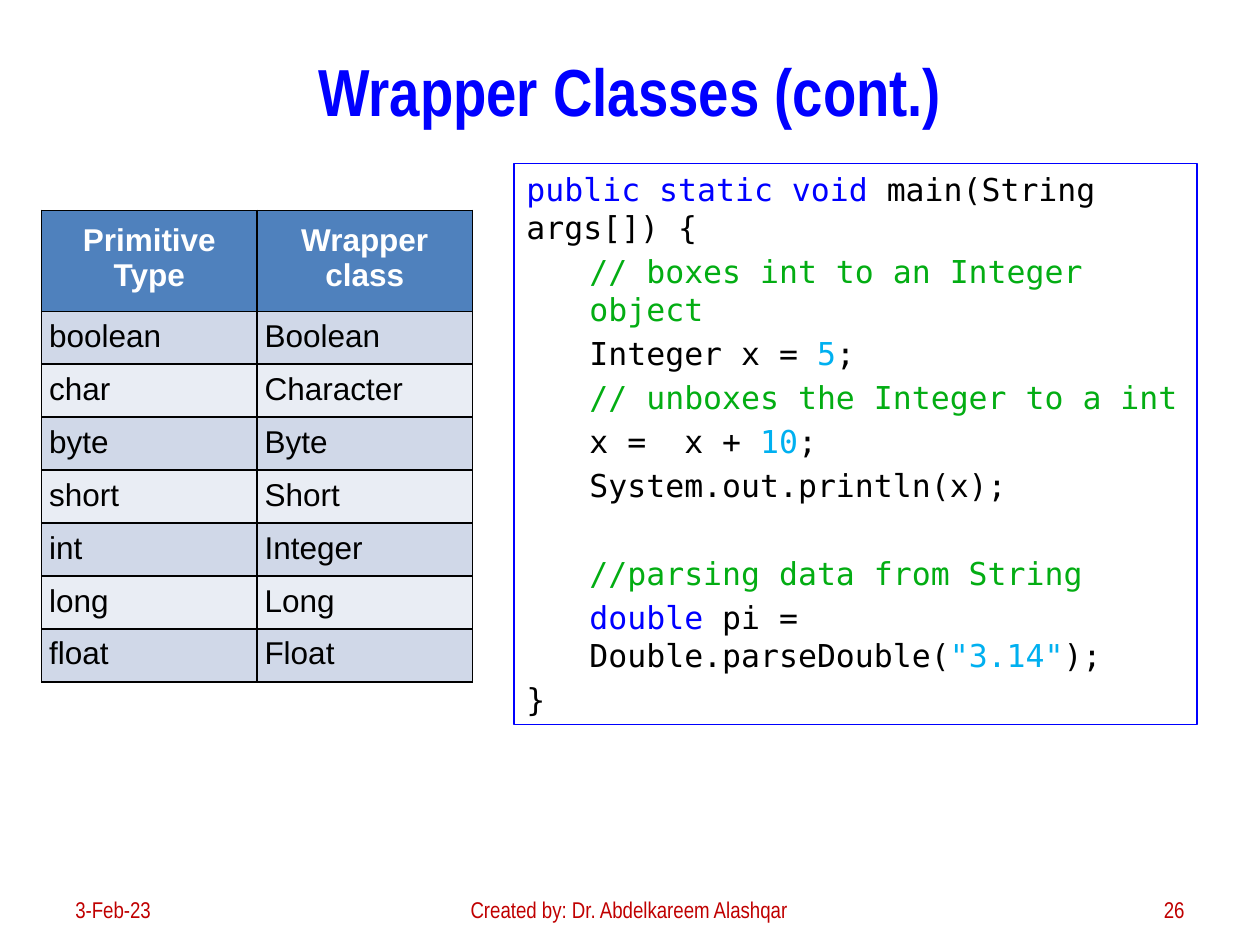
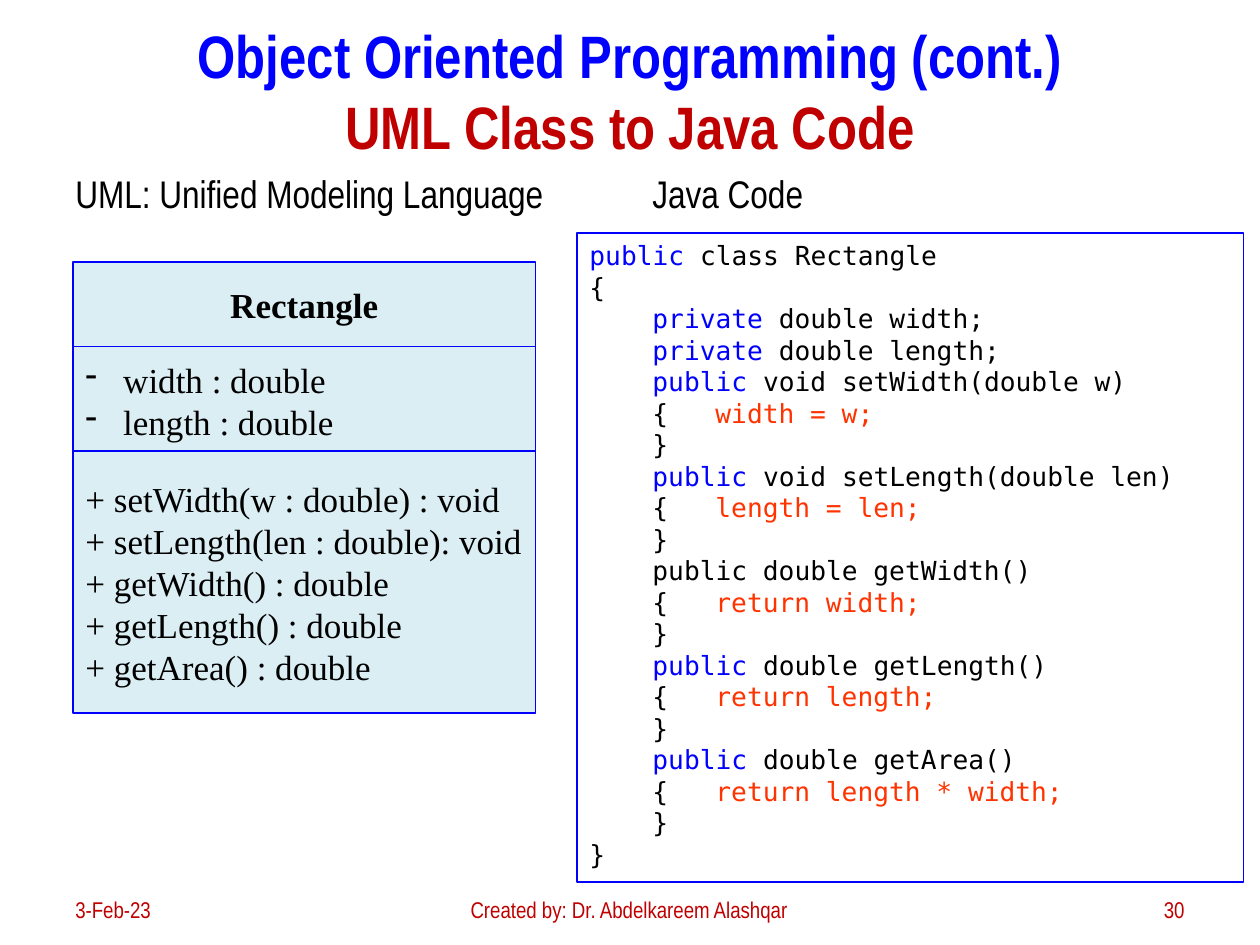
from lxml.etree import SubElement
from pptx import Presentation
from pptx.dml.color import RGBColor
from pptx.enum.shapes import MSO_SHAPE
from pptx.enum.text import MSO_ANCHOR, PP_ALIGN
from pptx.oxml.ns import qn
from pptx.util import Inches, Pt

BLUE, RED, BLACK, WHITE = "0000FF", "C00000", "000000", "FFFFFF"
GREEN, CYAN, ORANGE = "03AD13", "00B0F0", "FF3300"
HEADER, BAND_DARK, BAND_LIGHT, UML_FILL = "4F81BD", "D0D8E8", "E9EDF4", "DBEEF4"
NARROW, MONO, SERIF, SANS = "Arial Narrow", "DejaVu Sans Mono", "Times New Roman", "Arial"
LEFT, CENTER, RIGHT = PP_ALIGN.LEFT, PP_ALIGN.CENTER, PP_ALIGN.RIGHT


def write(frame, text, size=18, font=NARROW, color=BLACK, bold=False, align=LEFT,
          indent=0, before=0, bullet=None, tabs=()):
    paragraph = frame.paragraphs[0] if not frame.text else frame.add_paragraph()
    paragraph.alignment = align
    paragraph.space_before = Pt(before)
    properties = paragraph._p.get_or_add_pPr()
    properties.set("marL", str(Inches(indent)))
    properties.set("indent", str(Inches(-indent if bullet else 0)))
    if bullet:
        SubElement(properties, qn("a:buChar")).set("char", bullet)
    if tabs:
        tab_list = SubElement(properties, qn("a:tabLst"))
        for position in tabs:
            tab = SubElement(tab_list, qn("a:tab"))
            tab.set("pos", str(Inches(position)))
            tab.set("algn", "l")
    for words, run_color in [(text, color)] if isinstance(text, str) else text:
        if words == "\n":
            paragraph.add_line_break()
            continue
        run = paragraph.add_run()
        run.text = words
        run.font.size = Pt(size)
        run.font.name = font
        run.font.bold = bold
        run.font.color.rgb = RGBColor.from_string(run_color)


def add_box(slide, left, top, width, height, fill=None, line=None, anchor=MSO_ANCHOR.TOP):
    place = [Inches(value) for value in (left, top, width, height)]
    if line:
        shape = slide.shapes.add_shape(MSO_SHAPE.RECTANGLE, *place)
        shape.shadow.inherit = False
        shape.line.color.rgb = RGBColor.from_string(line)
        shape.line.width = Pt(0.75)
        if fill:
            shape.fill.solid()
            shape.fill.fore_color.rgb = RGBColor.from_string(fill)
        else:
            shape.fill.background()
    else:
        shape = slide.shapes.add_textbox(*place)
    shape.text_frame.word_wrap = True
    shape.text_frame.vertical_anchor = anchor
    return shape.text_frame


presentation = Presentation()
presentation.slide_width, presentation.slide_height = Inches(10), Inches(7.5)

titles = [
    (26, 38, [("Wrapper Classes (cont.)", BLUE)]),
    (30, 34.2, [("Object Oriented Programming (cont.)", BLUE), ("\n", BLUE),
                ("UML Class to Java Code", RED)]),
]
for number, size, title_runs in titles:
    slide = presentation.slides.add_slide(presentation.slide_layouts[5])
    title = slide.shapes.title
    title.left, title.top = Inches(0.5), Inches(0.2)
    title.width, title.height = Inches(9), Inches(1.03)
    title.text_frame.vertical_anchor = MSO_ANCHOR.MIDDLE
    write(title.text_frame, title_runs, size=size, bold=True, align=CENTER)
    for left, width, text, align in [
        (0.5, 2.33, "3-Feb-23", LEFT),
        (3.18, 3.62, "Created by: Dr. Abdelkareem Alashqar", CENTER),
        (7.17, 2.33, str(number), RIGHT),
    ]:
        footer = add_box(slide, left, 7.02, width, 0.4, anchor=MSO_ANCHOR.MIDDLE)
        write(footer, text, size=13, color=RED, align=align)

wrapper_slide, uml_slide = presentation.slides

type_rows = [
    ("Primitive Type", "Wrapper class"),
    ("boolean", "Boolean"),
    ("char", "Character"),
    ("byte", "Byte"),
    ("short", "Short"),
    ("int", "Integer"),
    ("long", "Long"),
    ("float", "Float"),
]
table = wrapper_slide.shapes.add_table(
    len(type_rows), 2, Inches(0.33), Inches(1.67), Inches(3.42), Inches(3.62)).table
for column in table.columns:
    column.width = Inches(1.71)
for row_index, names in enumerate(type_rows):
    is_header = row_index == 0
    table.rows[row_index].height = Inches(0.75 if is_header else 0.41)
    fill = HEADER if is_header else BAND_DARK if row_index % 2 else BAND_LIGHT
    for column_index, name in enumerate(names):
        cell = table.cell(row_index, column_index)
        inset = Inches(0.1 if is_header else 0.06)
        cell.margin_left = cell.margin_right = cell.margin_top = cell.margin_bottom = inset
        for side in ("a:lnL", "a:lnR", "a:lnT", "a:lnB"):
            border = SubElement(cell._tc.get_or_add_tcPr(), qn(side))
            border.set("w", str(Pt(1)))
            SubElement(SubElement(border, qn("a:solidFill")), qn("a:srgbClr")).set("val", BLACK)
        cell.fill.solid()
        cell.fill.fore_color.rgb = RGBColor.from_string(fill)
        write(cell.text_frame, name, font=SANS, color=WHITE if is_header else BLACK,
              bold=is_header, align=CENTER if is_header else PP_ALIGN.JUSTIFY)

boxing_code = add_box(wrapper_slide, 4.08, 1.3, 5.42, 4.45, line=BLUE)
for indent, before, runs in [
    (0, 3.6, [("public static void", BLUE), (" main(String args[]) {", BLACK)]),
    (0.5, 3.6, [("// boxes int to an Integer object", GREEN)]),
    (0.5, 3.6, [("Integer x = ", BLACK), ("5", CYAN), (";", BLACK)]),
    (0.5, 3.6, [("// unboxes the Integer to a int", GREEN)]),
    (0.5, 3.6, [("x =  x + ", BLACK), ("10", CYAN), (";", BLACK)]),
    (0.5, 3.6, [("System.out.println(x);", BLACK)]),
    (0.5, 28.6, [("//parsing data from String", GREEN)]),
    (0.5, 3.6, [("double", BLUE), (" pi = Double.parseDouble(", BLACK),
                ('"3.14"', CYAN), (");", BLACK)]),
    (0, 3.6, [("}", BLACK)]),
]:
    write(boxing_code, runs, font=MONO, indent=indent, before=before)

for left, heading in [(0.5, "UML: Unified Modeling Language"), (5.08, "Java Code")]:
    write(add_box(uml_slide, left, 1.3, 4.42, 0.5), heading, size=22, before=4.4)

class_lines = [[("public", BLUE), (" class Rectangle", BLACK)], [("{", BLACK)]]
for field in ("width", "length"):
    class_lines.append([("\t", BLACK), ("private", BLUE), (f" double {field};", BLACK)])
for signature, body, keyword_color in [
    ("void setWidth(double w)", "width = w;", BLUE),
    ("void setLength(double len)", "length = len;", BLUE),
    ("double getWidth()", "return width;", BLACK),
    ("double getLength()", "return length;", BLUE),
    ("double getArea()", "return length * width;", BLUE),
]:
    class_lines += [
        [("\t", BLACK), ("public", keyword_color), (f" {signature}", BLACK)],
        [("\t{", BLACK), (f"\t{body}", ORANGE)],
        [("\t}", BLACK)],
    ]
class_lines.append([("}", BLACK)])
class_code = add_box(uml_slide, 4.58, 1.85, 5.29, 5.15, line=BLUE)
for runs in class_lines:
    write(class_code, runs, size=15, font=MONO, tabs=(0.37, 1))

for top, height, lines, style in [
    (2.08, 0.67, ["Rectangle"], {"bold": True, "align": CENTER}),
    (2.75, 0.86, ["width : double", "length : double"], {"bullet": "-", "indent": 0.3}),
    (3.58, 2.08, ["+ setWidth(w : double) : void", "+ setLength(len : double): void",
                  "+ getWidth() : double", "+ getLength() : double",
                  "+ getArea() : double"], {}),
]:
    compartment = add_box(uml_slide, 0.58, top, 3.67, height, fill=UML_FILL, line=BLUE,
                          anchor=MSO_ANCHOR.MIDDLE)
    compartment.margin_right = Inches(0.1 if style else 0)
    for line in lines:
        write(compartment, line, size=20, font=SERIF, **style)

presentation.save("out.pptx")
